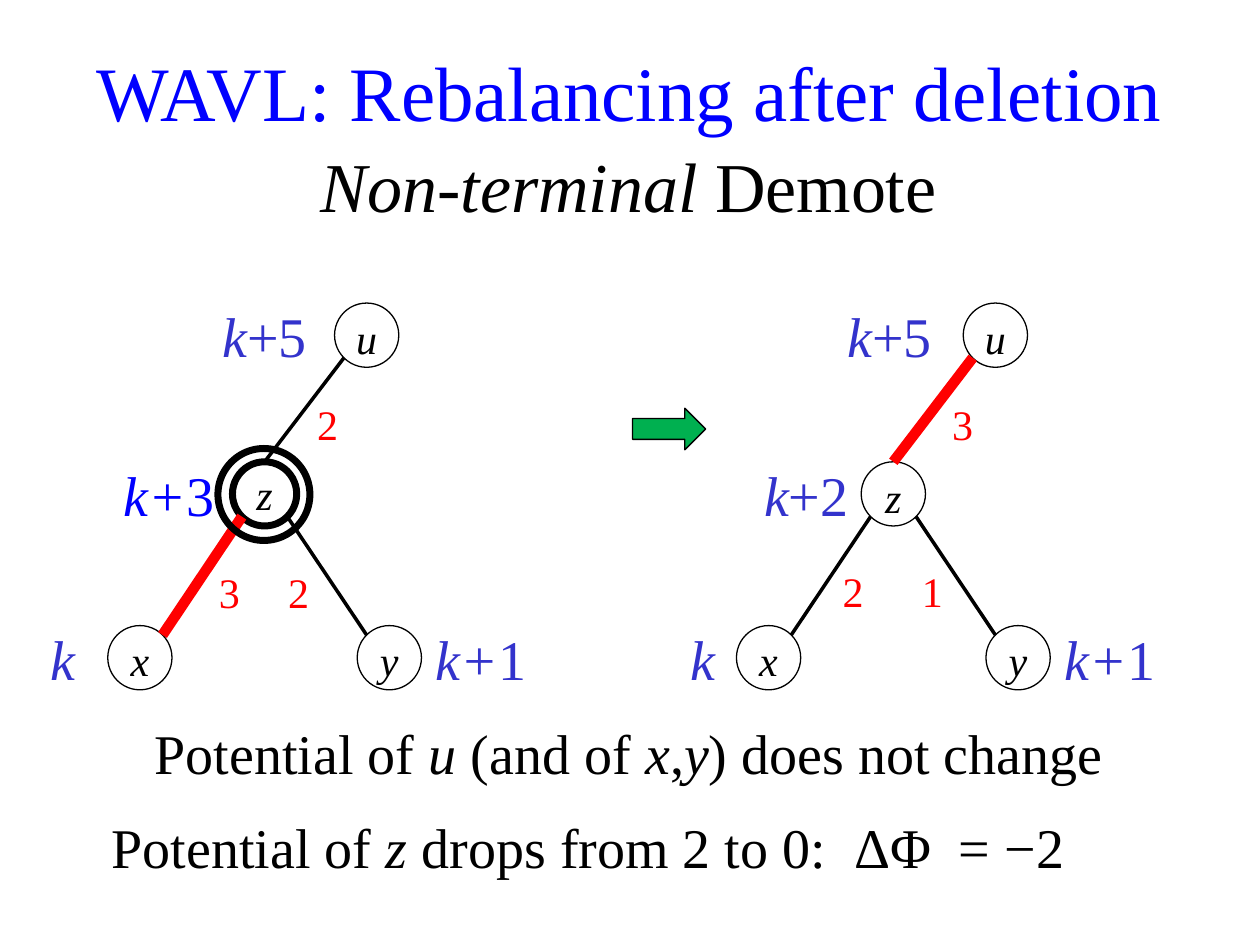
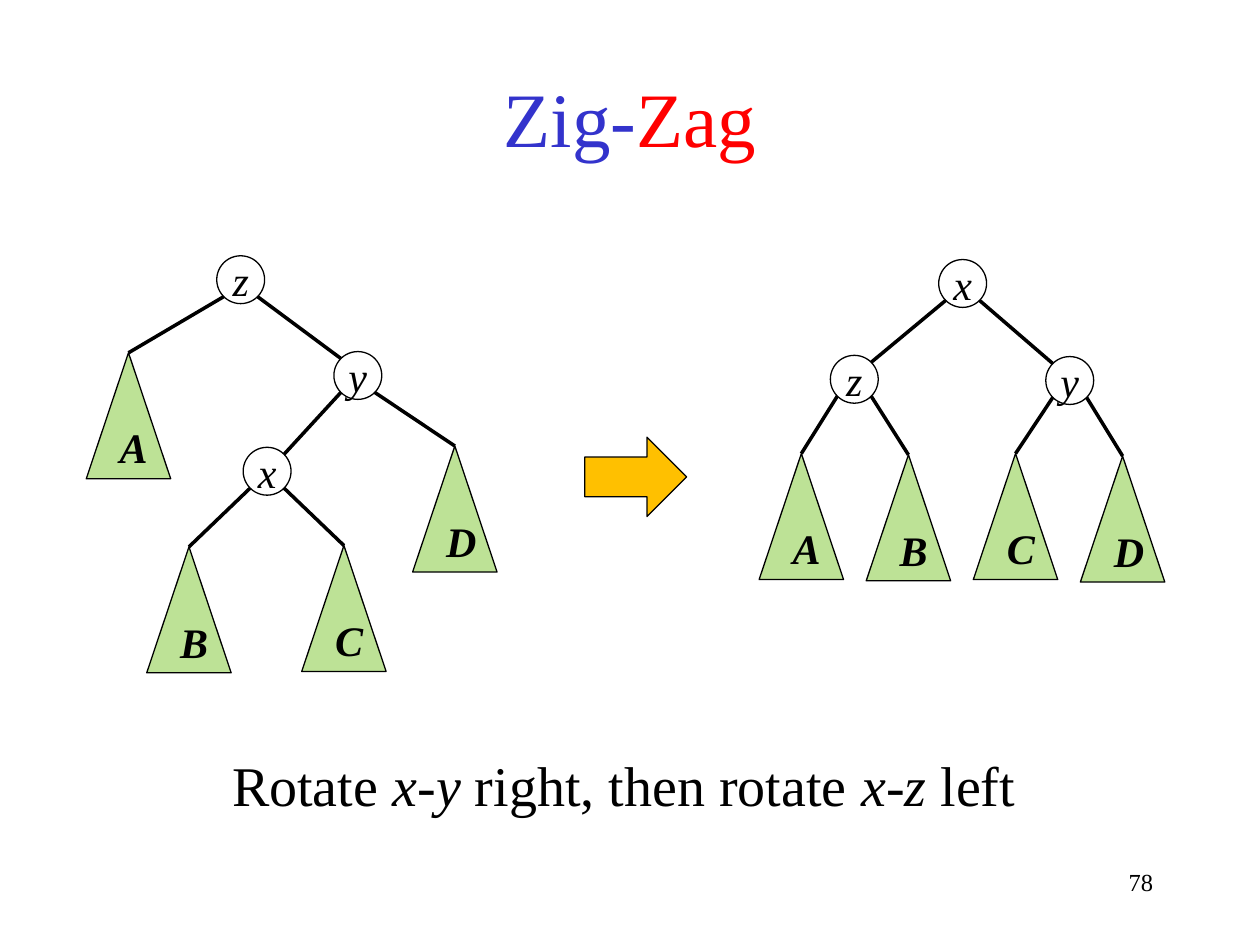
from math import sqrt

from lxml import etree
from pptx import Presentation
from pptx import util as u
from pptx.dml.color import RGBColor
from pptx.enum import shapes, text
from pptx.oxml.ns import qn

FONT = "Times New Roman"
COLORS = {"black": "000000", "blue": "0000FF", "indigo": "3333CC", "red": "FF0000",
          "green": "00B050", "amber": "FFC000", "subtree": "92D050"}
KIND = shapes.MSO_SHAPE
ALIGN = text.PP_ALIGN
ANCHOR = text.MSO_ANCHOR


def write(sp, markup, size, color="black", bold=False, align=ALIGN.CENTER,
          anchor=ANCHOR.TOP, inset=None):
    """Fill a shape with one paragraph; parts between underscores are italic."""
    tf = sp.text_frame
    tf.word_wrap = True
    tf.auto_size = text.MSO_AUTO_SIZE.NONE
    tf.vertical_anchor = anchor
    if inset is not None:
        tf.margin_left = tf.margin_top = tf.margin_right = tf.margin_bottom = inset
    p = tf.paragraphs[0]
    p.alignment = align
    for i, part in enumerate(markup.split("_")):
        if part:
            r = p.add_run()
            r.text = part
            r.font.name = FONT
            r.font.size = u.Pt(size)
            r.font.bold = bold
            r.font.italic = i % 2 == 1
            r.font.color.rgb = RGBColor.from_string(COLORS[color])


def outlined(s, kind, box, fill=None, width=0.75):
    sp = s.shapes.add_shape(kind, *map(u.Inches, box))
    sp.shadow.inherit = False
    sp.line.color.rgb = RGBColor.from_string(COLORS["black"])
    sp.line.width = u.Pt(width)
    if fill:
        sp.fill.solid()
        sp.fill.fore_color.rgb = RGBColor.from_string(COLORS[fill])
    else:
        sp.fill.background()
    return sp


prs = Presentation()
prs.slide_width, prs.slide_height = u.Inches(10), u.Inches(7.5)
demote, zigzag = [prs.slides.add_slide(prs.slide_layouts[5]) for _ in range(2)]

# Titles
for s, top, height, anchor in ((demote, 0.3, 1.02, ANCHOR.TOP),
                               (zigzag, 0.51, 0.84, ANCHOR.MIDDLE)):
    sp = s.shapes.title
    sp.left, sp.top, sp.width, sp.height = map(u.Inches, (0, top, 10, height))
    if s is demote:
        write(sp, "WAVL: Rebalancing after deletion", 44, "blue", anchor=anchor)
    else:
        write(sp, "Zig-", 44, "indigo", anchor=anchor)
        write(sp, "Zag", 44, "red", anchor=anchor)

# Trees: node centres, subtree apexes, and edges from parent to child
ROW_U, ROW_Z, ROW_XY = 2.66, 3.92, 5.22
SHIFT = 4.99
before = {"u": (2.91, ROW_U), "z": (2.1, ROW_Z), "x": (1.11, ROW_XY), "y": (3.09, ROW_XY)}
after = {name: (x + SHIFT, y) for name, (x, y) in before.items()}
trees = [
    (demote, 0.255, before, {}, "uz zx zy", "zx"),
    (demote, 0.255, after, {}, "uz zx zy", "uz"),
    (zigzag, 0.19, {"z": (1.91, 2.22), "y": (2.84, 2.98), "x": (2.12, 3.74)},
     {"A": (1.02, 2.8), "B": (1.5, 4.34), "C": (2.73, 4.33), "D": (3.61, 3.54)},
     "zA zy yx yD xB xC", ""),
    (zigzag, 0.19, {"x": (7.64, 2.25), "z": (6.78, 3.01), "y": (8.49, 3.02)},
     {"A": (6.36, 3.6), "B": (7.21, 3.61), "C": (8.06, 3.6), "D": (8.91, 3.62)},
     "xz xy zA zB yC yD", ""),
]
for s, radius, nodes, subtrees, edges, heavy in trees:
    for name, (x, y) in nodes.items():
        active = nodes is before and name == "z"
        sp = outlined(s, KIND.OVAL, (x - radius, y - radius, 2 * radius, 2 * radius),
                      width=4 if active else 0.75)
        centred = active or s is zigzag
        write(sp, f"_{name}_", 24, anchor=ANCHOR.MIDDLE if centred else ANCHOR.TOP, inset=0)
    for name, (x, y) in subtrees.items():
        sp = outlined(s, KIND.ISOSCELES_TRIANGLE, (x - 0.335, y, 0.67, 1), "subtree")
        srgb = sp.fill._xPr.find(".//" + qn("a:srgbClr"))
        etree.SubElement(srgb, qn("a:alpha"), val="60000")
        write(sp, f"_{name}_", 24, bold=True)
    diagonal = radius / sqrt(2)
    for edge in edges.split():
        parent, child = edge
        x1, y1 = nodes[parent]
        x2, y2 = subtrees[child] if child in subtrees else nodes[child]
        side = diagonal if x2 > x1 else -diagonal
        x1, y1 = x1 + side, y1 + diagonal
        if edge == "uz":
            y2 -= radius
        elif child in nodes:
            x2, y2 = x2 - side, y2 - diagonal
        line = s.shapes.add_connector(shapes.MSO_CONNECTOR.STRAIGHT,
                                      *map(u.Inches, (x1, y1, x2, y2)))
        line.line.color.rgb = RGBColor.from_string(COLORS["red" if edge == heavy else "black"])
        line.line.width = u.Pt(6 if edge == heavy else 2)
        etree.SubElement(line._element.spPr, qn("a:effectLst"))

# Ring around the node being demoted
outlined(demote, KIND.OVAL, (1.73, 3.56, 0.73, 0.73), width=4)

# Ranks beside the nodes and rank differences beside the edges
ranks = [("_k_+5", 2.1, ROW_U), ("_k+_3", 1.34, ROW_Z), ("_k_", 0.5, ROW_XY),
         ("_k+_1", 3.82, ROW_XY), ("_k_+5", 7.06, ROW_U), ("_k_+2", 6.4, ROW_Z),
         ("_k_", 5.58, ROW_XY), ("_k+_1", 8.81, ROW_XY)]
differences = [("2", 2.6, 3.36), ("3", 1.82, 4.7), ("2", 2.37, 4.7),
               ("3", 7.64, 3.36), ("2", 6.77, 4.69), ("1", 7.4, 4.69)]
for labels, width, height, size, color in ((ranks, 1, 0.64, 32, "indigo"),
                                           (differences, 0.5, 0.5, 24, "red")):
    for label, x, y in labels:
        sp = demote.shapes.add_textbox(*map(u.Inches, (x - width / 2, y - height / 2,
                                                       width, height)))
        write(sp, label, size, "blue" if label == "_k+_3" else color, anchor=ANCHOR.MIDDLE)

# Arrows between the two states
outlined(demote, KIND.RIGHT_ARROW, (5.02, 3.24, 0.58, 0.33), "green")
outlined(zigzag, KIND.RIGHT_ARROW, (4.64, 3.47, 0.81, 0.63), "amber")

# Captions and page number
for s, markup, box, size, align in (
        (demote, "_Non-terminal_ Demote", (0, 1.08, 9.98, 0.77), 40, ALIGN.CENTER),
        (demote, "Potential of _u_ (and of _x_,_y_) does not change",
         (0, 5.65, 9.98, 0.64), 32, ALIGN.CENTER),
        (demote, "Potential of _z_ drops from 2 to 0:  ΔΦ  = −2",
         (0, 6.4, 9.34, 0.64), 32, ALIGN.CENTER),
        (zigzag, "Rotate _x_-_y_ right, then rotate _x_-_z_ left",
         (0, 5.91, 9.9, 0.64), 32, ALIGN.CENTER),
        (zigzag, "78", (7.17, 6.83, 2.08, 0.5), 14, ALIGN.RIGHT)):
    write(s.shapes.add_textbox(*map(u.Inches, box)), markup, size, align=align)

prs.save("out.pptx")
